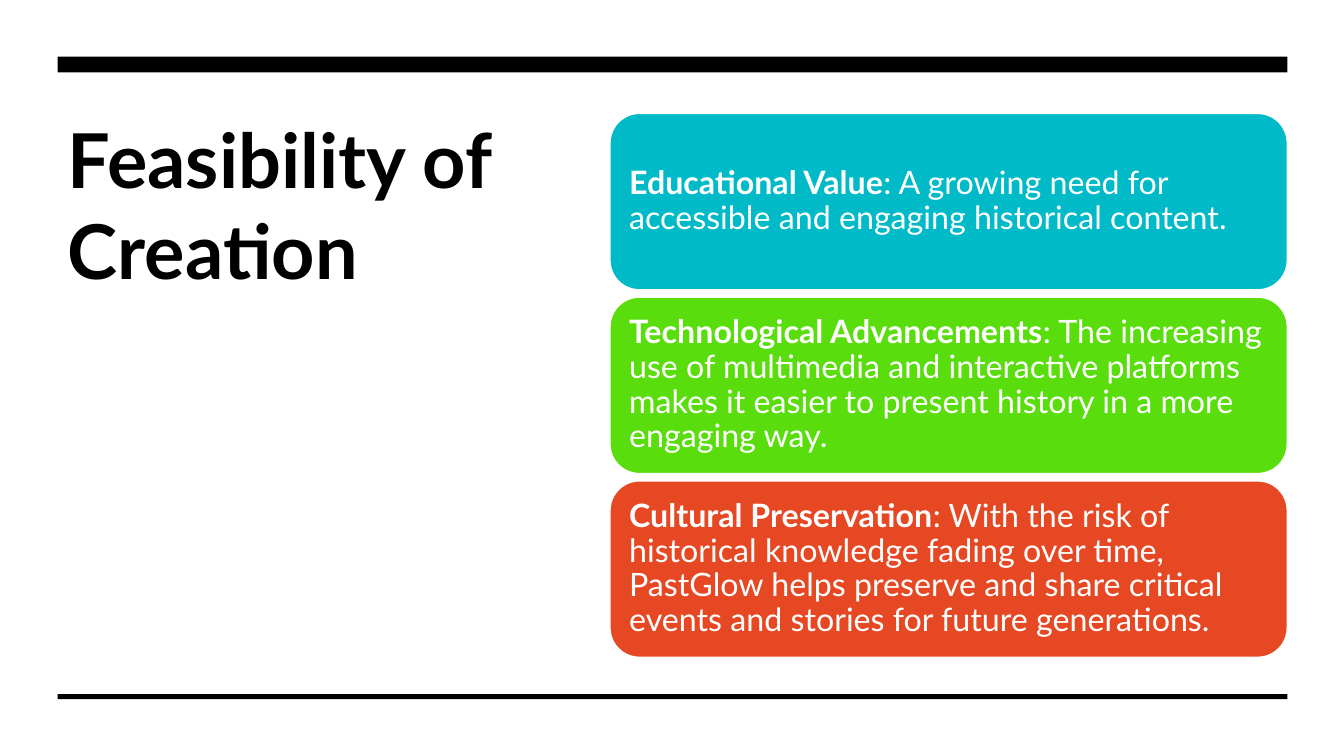
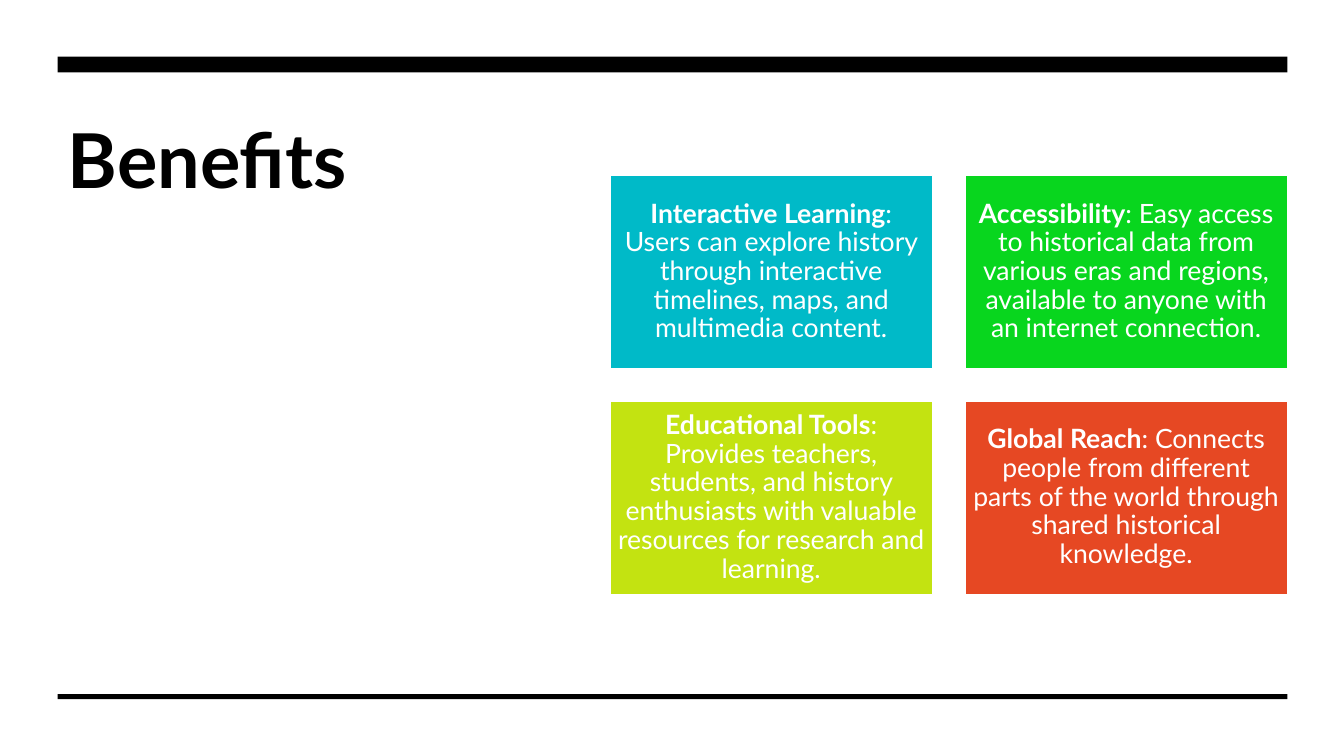
import pptx
import pptx.dml.color
import pptx.enum.shapes
import pptx.enum.text
import pptx.util

PX = 9525
FONT = "Lato"
BLACK, WHITE = "000000", "FFFFFF"
CYAN, LIME, GREEN, YELLOW, RED = "00BAC8", "59DD0C", "08D61E", "C3E311", "E64823"
LEFT, WIDTH = 55, 1171
CARDS_LEFT = 581
SHAPE = pptx.enum.shapes.MSO_SHAPE
ALIGN = pptx.enum.text.PP_ALIGN
ANCHOR = pptx.enum.text.MSO_ANCHOR


def rgb(color):
    return pptx.dml.color.RGBColor.from_string(color)


def add_box(s, kind, x, y, w, h, fill, line=None):
    sp = s.shapes.add_shape(kind, x * PX, y * PX, w * PX, h * PX)
    sp.shadow.inherit = False
    sp.fill.solid()
    sp.fill.fore_color.rgb = rgb(fill)
    if line:
        sp.line.color.rgb = rgb(line)
        sp.line.width = pptx.util.Pt(1)
    else:
        sp.line.fill.background()
    return sp


slides = [
    {
        "title": "Feasibility of Creation",
        "kind": SHAPE.ROUNDED_RECTANGLE,
        "columns": 1, "top": 108, "size": (645, 168), "gap": 7,
        "inset": 10, "points": 23, "align": ALIGN.LEFT,
        "cards": [
            (CYAN, "Educational Value",
             ": A growing need for accessible and engaging historical content."),
            (LIME, "Technological Advancements",
             ": The increasing use of multimedia and interactive platforms makes it "
             "easier to present history in a more engaging way."),
            (RED, "Cultural Preservation",
             ": With the risk of historical knowledge fading over time, PastGlow helps "
             "preserve and share critical events and stories for future generations."),
        ],
    },
    {
        "title": "Benefits",
        "kind": SHAPE.RECTANGLE,
        "columns": 2, "top": 167, "size": (307, 184), "gap": 31,
        "inset": 7, "points": 19, "align": ALIGN.CENTER,
        "cards": [
            (CYAN, "Interactive Learning",
             ": Users can explore history through interactive timelines, maps, and "
             "multimedia content."),
            (GREEN, "Accessibility",
             ": Easy access to historical data from various eras and regions, available "
             "to anyone with an internet connection."),
            (YELLOW, "Educational Tools",
             ": Provides teachers, students, and history enthusiasts with valuable "
             "resources for research and learning."),
            (RED, "Global Reach",
             ": Connects people from different parts of the world through shared "
             "historical knowledge."),
        ],
    },
]

prs = pptx.Presentation()
prs.slide_width, prs.slide_height = 1280 * PX, 720 * PX

for data in slides:
    s = prs.slides.add_slide(prs.slide_layouts[5])
    s.background.fill.solid()
    s.background.fill.fore_color.rgb = rgb(WHITE)

    title = s.shapes.title
    title.left, title.top, title.width, title.height = LEFT * PX, 103 * PX, 450 * PX, 353 * PX
    tf = title.text_frame
    tf.text = data["title"]
    tf.word_wrap = True
    tf.auto_size = pptx.enum.text.MSO_AUTO_SIZE.NONE
    tf.vertical_anchor = ANCHOR.TOP
    p = tf.paragraphs[0]
    p.alignment = ALIGN.LEFT
    p.font.name = FONT
    p.font.size = pptx.util.Pt(54)
    p.font.bold = True
    p.font.color.rgb = rgb(BLACK)

    for y, h in [(54, 15), (661, 5)]:
        add_box(s, SHAPE.RECTANGLE, LEFT, y, WIDTH, h, BLACK)

    w, h = data["size"]
    for i, (fill, heading, body) in enumerate(data["cards"]):
        row, col = divmod(i, data["columns"])
        x = CARDS_LEFT + col * (w + data["gap"])
        y = data["top"] + row * (h + data["gap"])
        sp = add_box(s, data["kind"], x, y, w, h, fill, WHITE)
        tf = sp.text_frame
        tf.word_wrap = True
        tf.vertical_anchor = ANCHOR.MIDDLE
        tf.margin_left = tf.margin_right = data["inset"] * PX
        tf.margin_top = tf.margin_bottom = data["inset"] * PX
        p = tf.paragraphs[0]
        p.alignment = data["align"]
        p.line_spacing = 0.9
        p.font.name = FONT
        p.font.size = pptx.util.Pt(data["points"])
        p.font.color.rgb = rgb(WHITE)
        for text, bold in [(heading, True), (body, False)]:
            r = p.add_run()
            r.text = text
            r.font.bold = bold

prs.save("out.pptx")
